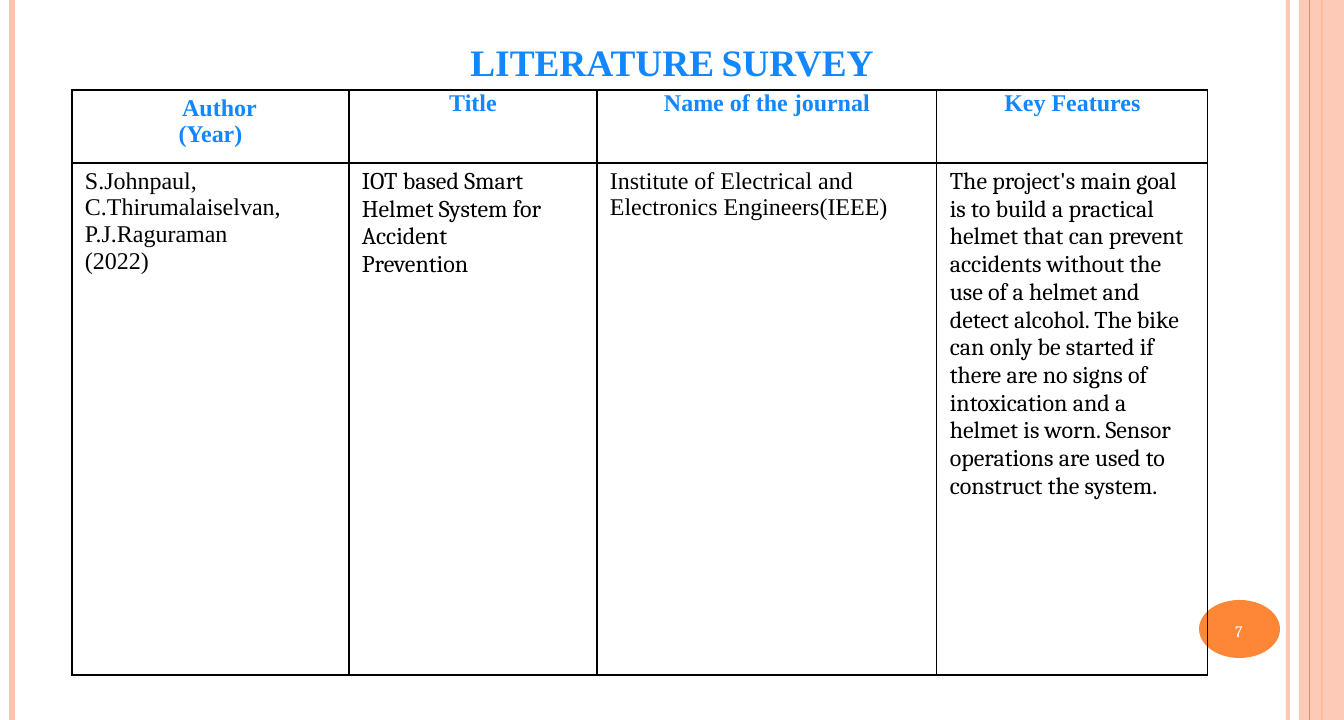
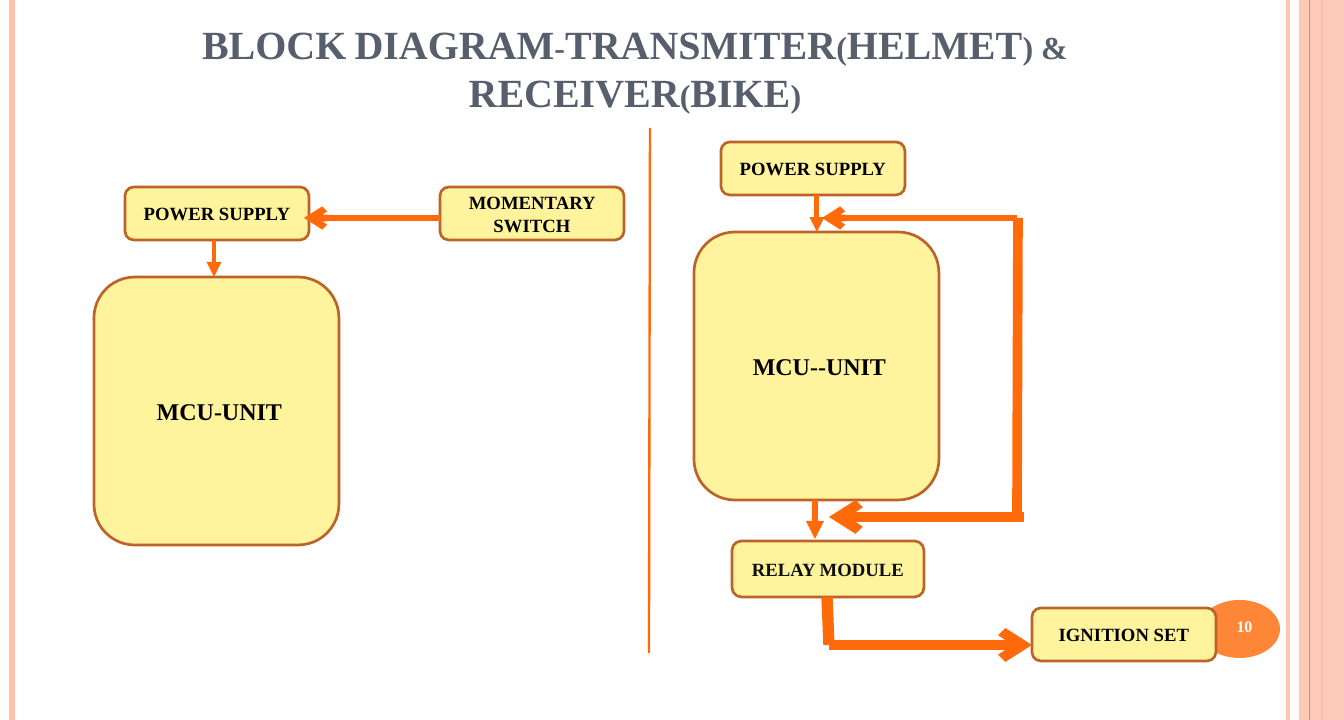
"""Build the literature survey and block diagram slides."""
from lxml.etree import SubElement
from pptx import Presentation
from pptx.dml.color import RGBColor
from pptx.enum.shapes import MSO_CONNECTOR, MSO_SHAPE
from pptx.enum.text import MSO_ANCHOR, MSO_AUTO_SIZE, PP_ALIGN
from pptx.oxml.ns import qn
from pptx.util import Pt

PX = 9525
SERIF = "Times New Roman"
CAMBRIA = "Cambria"
PEACH = RGBColor(0xFE, 0xC3, 0xAE)
ORANGE = RGBColor(0xFE, 0x86, 0x37)
ARROW = RGBColor(0xFF, 0x6B, 0x0A)
BROWN = RGBColor(0xBC, 0x63, 0x29)
CREAM = RGBColor(0xFF, 0xF3, 0x9D)
BLUE = RGBColor(0x11, 0x88, 0xFF)
SLATE = RGBColor(0x57, 0x5F, 0x6D)
BLACK = RGBColor(0, 0, 0)
INK = RGBColor(0x0D, 0x0D, 0x0D)
WHITE = RGBColor(0xFF, 0xFF, 0xFF)


def write(frame, text, size, color, bold=True, face=SERIF, align=PP_ALIGN.CENTER):
    frame.text = text
    frame.word_wrap = True
    for para in frame.paragraphs:
        para.alignment = align
        para.font.size = Pt(size)
        para.font.name = face
        para.font.bold = bold
        para.font.color.rgb = color


def draw(slide, ends, color, width, head=None):
    line = slide.shapes.add_connector(MSO_CONNECTOR.STRAIGHT, *[n * PX for n in ends])
    line.line.color.rgb = color
    line.line.width = Pt(width)
    if head:
        SubElement(line.line._get_or_add_ln(), qn("a:tailEnd"), type=head)
    SubElement(line.element.spPr, qn("a:effectLst"))
    return line


deck = Presentation()
deck.slide_width, deck.slide_height = 1344 * PX, 720 * PX
layout = deck.slide_layouts[5]

titles = [
    ("LITERATURE SURVEY", 28, BLUE, (67, 29, 1210, 60)),
    ("BLOCK DIAGRAM-TRANSMITER(HELMET) & RECEIVER(BIKE)", 30, SLATE, (88, -18, 1094, 138)),
]
for text, size, color, place in titles:
    slide = deck.slides.add_slide(layout)
    title = slide.shapes.title
    title.left, title.top, title.width, title.height = [n * PX for n in place]
    write(title.text_frame, text, size, color)
    title.text_frame.auto_size = MSO_AUTO_SIZE.NONE
    title.text_frame.vertical_anchor = MSO_ANCHOR.BOTTOM
    title.text_frame.paragraphs[0]._p.pPr.defRPr.set("cap", "small")
survey, diagram = deck.slides

strips = [
    draw(survey, (x, 0, x, 720), color, width)
    for x, color, width in [(1288, PEACH, 3), (12, PEACH, 4.5), (1322, ORANGE, 1.5)]
]
band = survey.shapes.add_shape(MSO_SHAPE.RECTANGLE, 1299 * PX, 0, 45 * PX, 720 * PX)
thin = draw(survey, (1310, 0, 1310, 720), ORANGE, 0.75)
badge = survey.shapes.add_shape(MSO_SHAPE.OVAL, 1199 * PX, 600 * PX, 81 * PX, 58 * PX)
for shape, color in [(band, PEACH), (badge, ORANGE)]:
    shape.shadow.inherit = False
    shape.fill.solid()
    shape.fill.fore_color.rgb = color
    shape.line.fill.background()
for shape, alpha in [(strips[0], "93000"), (band, "87000")]:
    tint = next(shape.element.spPr.iter(qn("a:srgbClr")))
    SubElement(tint, qn("a:alpha"), val=alpha)
for shape in [*strips, band, thin, badge]:
    layout.element.cSld.spTree.append(shape.element)

heads = ["Author\n(Year)", "Title", "Name of the journal", "Key Features"]
facts = [
    "S.Johnpaul,\nC.Thirumalaiselvan,\nP.J.Raguraman\n(2022)",
    "IOT based Smart Helmet System for Accident\nPrevention",
    "Institute of Electrical and Electronics Engineers(IEEE)",
    "The project's main goal is to build a practical helmet that can prevent "
    "accidents without the use of a helmet and detect alcohol. The bike can only "
    "be started if there are no signs of intoxication and a helmet is worn. Sensor "
    "operations are used to construct the system.",
]
faces = [SERIF, CAMBRIA, SERIF, CAMBRIA]
table = survey.shapes.add_table(2, 4, 72 * PX, 90 * PX, 1136 * PX, 585 * PX).table
table.first_row = table.horz_banding = False
for col, width in zip(table.columns, [277, 248, 340, 271]):
    col.width = width * PX
for row, height in zip(table.rows, [73, 512]):
    row.height = height * PX
for c in range(4):
    write(table.cell(0, c).text_frame, heads[c], 18, BLUE)
    write(table.cell(1, c).text_frame, facts[c], 18, BLACK, False, faces[c], PP_ALIGN.LEFT)
    for r in range(2):
        cell = table.cell(r, c)
        tight = r == 0 and c > 0
        cell.margin_left = cell.margin_right = (10 if tight else 13) * PX
        cell.margin_top = cell.margin_bottom = (0 if tight else 5) * PX
        props = cell._tc.get_or_add_tcPr()
        for side in ["lnL", "lnR", "lnT", "lnB"]:
            edge = SubElement(props, qn(f"a:{side}"), w=str(Pt(1)))
            SubElement(SubElement(edge, qn("a:solidFill")), qn("a:srgbClr"), val=str(BLACK))
        cell.fill.background()
author = table.cell(0, 0).text_frame.paragraphs[0]
author._p.pPr.set("marL", str(18 * PX))

pages = [
    (survey, "7", False, CAMBRIA, (1225, 617, 28, 29)),
    (diagram, "10", True, SERIF, (1200, 599, 89, 55)),
]
for slide, text, bold, face, place in pages:
    page = slide.shapes.add_textbox(*[n * PX for n in place])
    write(page.text_frame, text, 12, WHITE, bold, face)
    page.text_frame.vertical_anchor = MSO_ANCHOR.MIDDLE
    page.text_frame.margin_left = page.text_frame.margin_right = 0

blocks = [
    (" MCU-UNIT", 18, BLACK, (94, 277, 245, 268)),
    ("POWER SUPPLY", 14, BLACK, (125, 187, 184, 53)),
    ("MOMENTARY SWITCH", 14, BLACK, (440, 187, 184, 53)),
    (" MCU--UNIT", 18, BLACK, (694, 232, 245, 268)),
    ("RELAY MODULE", 14, INK, (732, 541, 192, 56)),
    ("POWER SUPPLY", 14, BLACK, (721, 142, 184, 53)),
    ("IGNITION SET", 14, BLACK, (1032, 608, 184, 53)),
]
for text, size, color, place in blocks:
    block = diagram.shapes.add_shape(MSO_SHAPE.ROUNDED_RECTANGLE, *[n * PX for n in place])
    block.shadow.inherit = False
    block.fill.solid()
    block.fill.fore_color.rgb = CREAM
    block.line.color.rgb = BROWN
    block.line.width = Pt(2)
    write(block.text_frame, text, size, color)
    block.text_frame.vertical_anchor = MSO_ANCHOR.MIDDLE

links = [
    ((817, 195, 817, 232), 3.75, "triangle"),
    ((815, 500, 815, 539), 4.5, "triangle"),
    ((1024, 517, 829, 517), 7.25, "arrow"),
    ((1018, 218, 1017, 517), 7.25, None),
    ((827, 597, 829, 645), 8.5, None),
    ((829, 645, 1032, 645), 7.25, "arrow"),
    ((1017, 218, 822, 218), 5, "arrow"),
    ((440, 218, 304, 218), 5, "arrow"),
    ((214, 240, 214, 277), 3.75, "triangle"),
    ((650, 128, 649, 653), 1.75, None),
]
for ends, width, head in links:
    draw(diagram, ends, ARROW, width, head)

deck.save("out.pptx")
